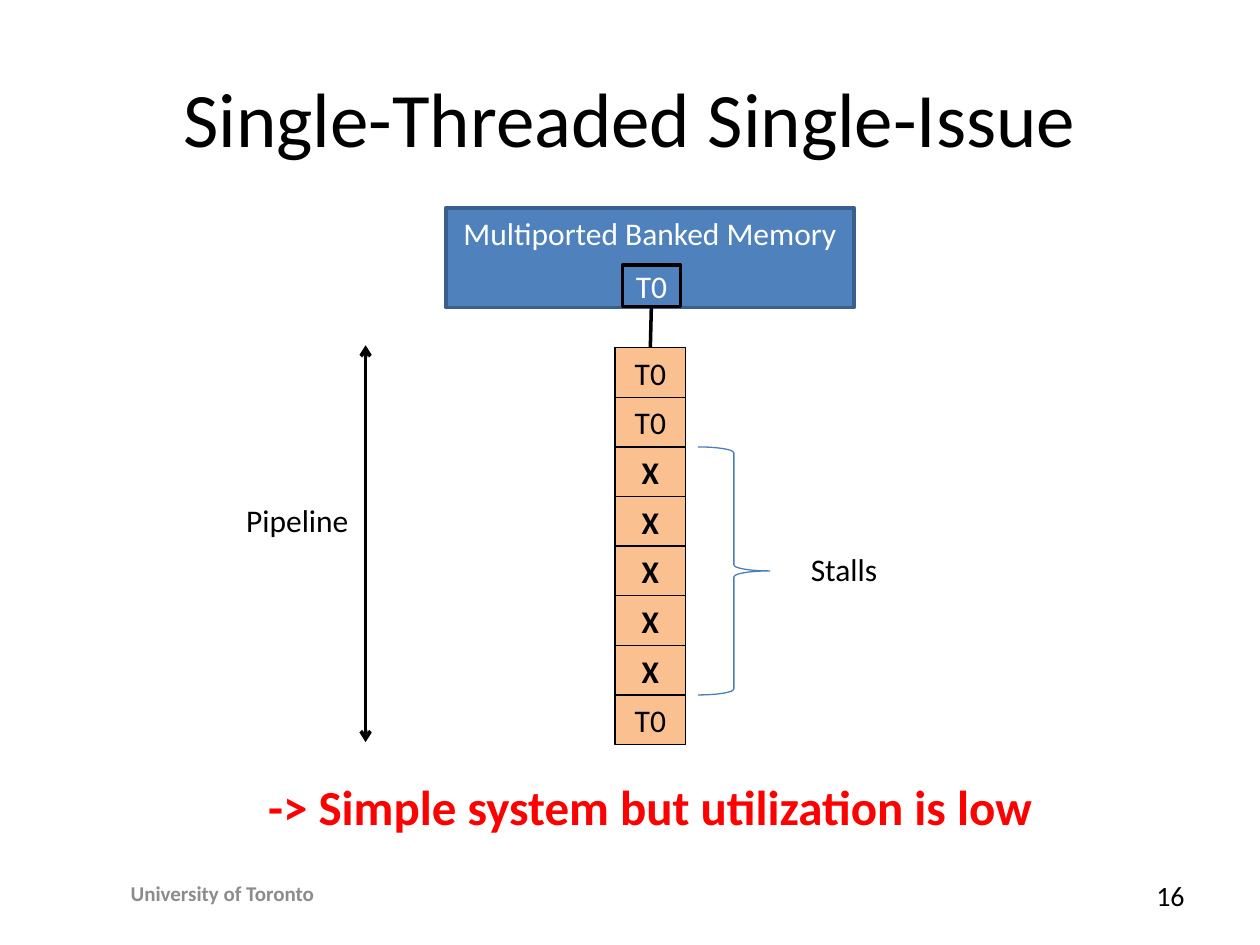
import pptx
import pptx.dml.color
import pptx.enum.shapes
import pptx.enum.text
import pptx.oxml
import pptx.oxml.ns
import pptx.util

Cm = pptx.util.Cm
Pt = pptx.util.Pt
SHAPE = pptx.enum.shapes.MSO_SHAPE
ALIGN = pptx.enum.text.PP_ALIGN
ANCHOR = pptx.enum.text.MSO_ANCHOR

# Content: text, (left, top, width, height) in cm, size, colour, bold, alignment, anchor
LABELS = [
    ("Single-Threaded Single-Issue", (1.27, 0.76, 22.86, 3.18), 44, "000000", False, ALIGN.CENTER, ANCHOR.MIDDLE),
    ("University of Toronto", (0.46, 17.5, 8.05, 1.02), 12, "8C8C8C", True, ALIGN.CENTER, ANCHOR.MIDDLE),
    ("16", (18.21, 17.53, 5.92, 1.02), 16, "000000", False, ALIGN.RIGHT, ANCHOR.MIDDLE),
    ("Pipeline", (4.6, 9.98, 2.79, 1.02), 18, "000000", False, ALIGN.CENTER, ANCHOR.TOP),
    ("Stalls", (15.62, 10.97, 2.79, 1.02), 18, "000000", False, ALIGN.CENTER, ANCHOR.TOP),
    ("-> Simple system but utilization is low", (1.57, 15.52, 23.06, 1.45), 28, "FF0000", True, ALIGN.CENTER, ANCHOR.TOP),
]
STAGES = ["T0", "T0", "X", "X", "X", "X", "X", "T0"]
STAGE_LEFT, STAGE_TOP, STAGE_WIDTH, STAGE_HEIGHT = 12.4, 7.01, 1.42, 1.0
MEMORY = (8.99, 4.19, 8.23, 2.01)
THREAD = (12.55, 5.34, 1.17, 0.84)

deck = pptx.Presentation()
deck.slide_width, deck.slide_height = Cm(25.4), Cm(19.05)
page = deck.slides.add_slide(deck.slide_layouts[6])


def colour(value):
    return pptx.dml.color.RGBColor.from_string(value)


def write(box, text, size, ink, bold=False, align=ALIGN.CENTER, anchor=ANCHOR.TOP):
    frame = box.text_frame
    frame.word_wrap = True
    frame.vertical_anchor = anchor
    para = frame.paragraphs[0]
    para.alignment = align
    span = para.add_run()
    span.text = text
    span.font.name = "Calibri"
    span.font.size = Pt(size)
    span.font.bold = bold
    span.font.color.rgb = colour(ink)


def add_shape(kind, place, fill, line, weight):
    shape = page.shapes.add_shape(kind, *map(Cm, place))
    shape.shadow.inherit = False
    if fill:
        shape.fill.solid()
        shape.fill.fore_color.rgb = colour(fill)
    else:
        shape.fill.background()
    shape.line.color.rgb = colour(line)
    shape.line.width = Pt(weight)
    return shape


def add_line(start, end, arrows=False):
    line = page.shapes.add_connector(
        pptx.enum.shapes.MSO_CONNECTOR.STRAIGHT, *map(Cm, start + end))
    line.line.color.rgb = colour("000000")
    line.line.width = Pt(2)
    if arrows:
        outline = line.line._get_or_add_ln()
        for tag in ("a:headEnd", "a:tailEnd"):
            pptx.oxml.ns.qn(tag)
            outline.append(pptx.oxml.parse_xml(
                f'<{tag} {pptx.oxml.ns.nsdecls("a")} type="arrow"/>'))
    line._element.spPr.append(pptx.oxml.parse_xml(
        f'<a:effectLst {pptx.oxml.ns.nsdecls("a")}/>'))


# Title, labels and footer
for text, place, *style in LABELS:
    write(page.shapes.add_textbox(*map(Cm, place)), text, *style)

# Pipeline stages
for index, thread in enumerate(STAGES):
    place = (STAGE_LEFT, STAGE_TOP + index * STAGE_HEIGHT, STAGE_WIDTH, STAGE_HEIGHT)
    stage = add_shape(SHAPE.RECTANGLE, place, "FAC090", "000000", 0.75)
    write(stage, thread, 18, "000000", bold=thread == "X")

# Memory with its thread, joined to the first stage
memory = add_shape(SHAPE.RECTANGLE, MEMORY, "4F81BD", "3A5F8C", 2)
write(memory, "Multiported Banked Memory", 18, "FFFFFF")
add_line((13.13, 6.2), (13.11, STAGE_TOP))
thread_box = add_shape(SHAPE.RECTANGLE, THREAD, "4F81BD", "000000", 2)
write(thread_box, "T0", 18, "FFFFFF", anchor=ANCHOR.MIDDLE)

# Pipeline extent
add_line((7.37, 6.96), (7.37, 14.96), arrows=True)

# Brace beside the stalled stages
brace_top = STAGE_TOP + STAGES.index("X") * STAGE_HEIGHT
brace_height = STAGES.count("X") * STAGE_HEIGHT
add_shape(SHAPE.RIGHT_BRACE, (14.07, brace_top, 1.45, brace_height), None, "4B7EBC", 0.75)

deck.save("out.pptx")
